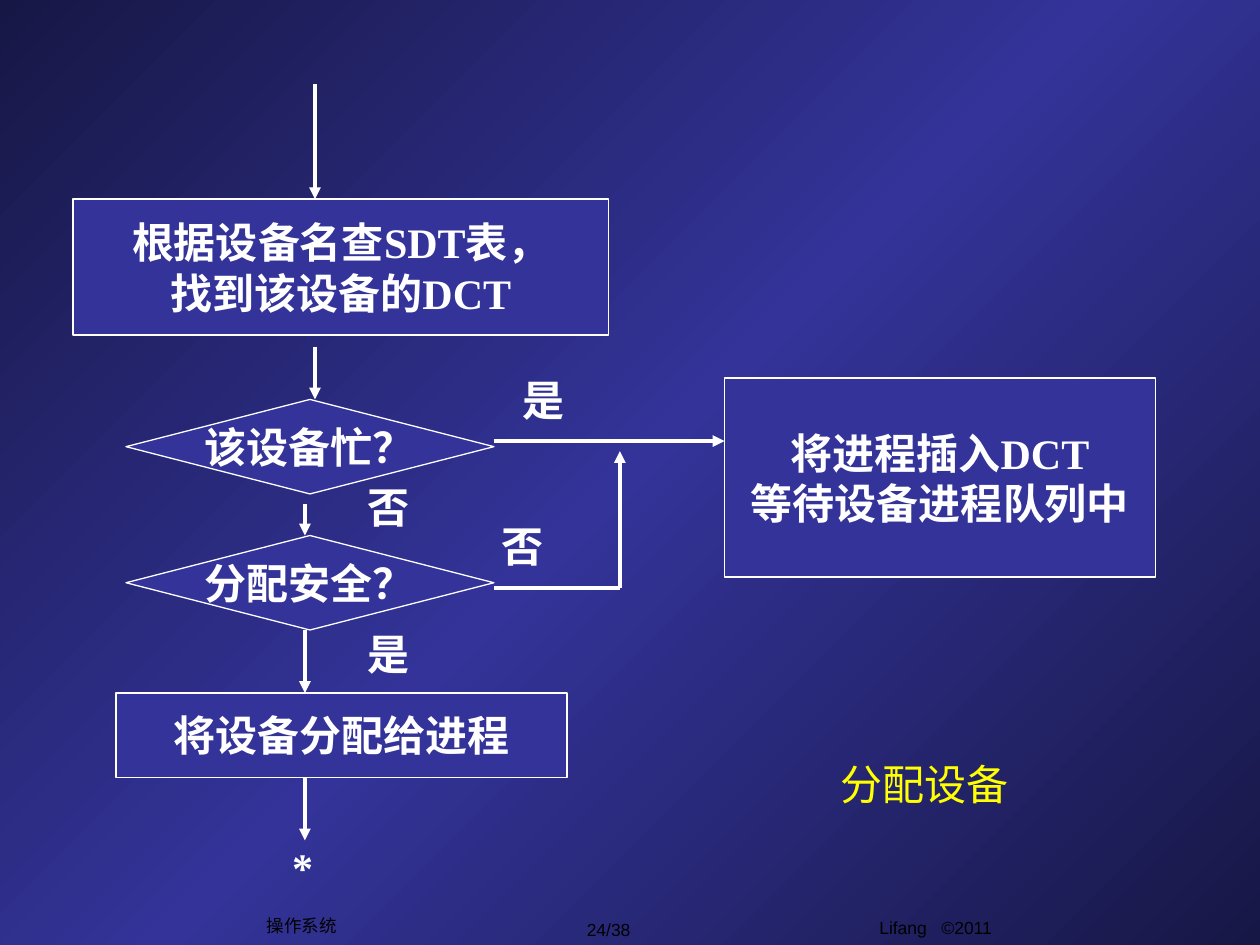
"""Build the device allocation flowchart slide."""
from copy import deepcopy

from lxml import etree
from pptx import Presentation
from pptx.dml.color import RGBColor
from pptx.enum.shapes import MSO_CONNECTOR, MSO_SHAPE
from pptx.enum.text import MSO_ANCHOR, PP_ALIGN
from pptx.oxml.ns import qn
from pptx.util import Inches, Pt

STRAIGHT = MSO_CONNECTOR.STRAIGHT
RECTANGLE = MSO_SHAPE.RECTANGLE
DECISION = MSO_SHAPE.FLOWCHART_DECISION
PROCESS = MSO_SHAPE.FLOWCHART_PROCESS
TOP, MIDDLE = MSO_ANCHOR.TOP, MSO_ANCHOR.MIDDLE
LEFT, CENTER = PP_ALIGN.LEFT, PP_ALIGN.CENTER

NAVY, BLUE, WHITE, YELLOW, BLACK = "171746", "333399", "FFFFFF", "FFFF00", "000000"
SERIF, SANS = "Times New Roman", "Arial"


def color(value):
    return RGBColor.from_string(value)


def write(frame, text, size=24, font=SERIF, fill=WHITE, bold=True,
          align=CENTER, anchor=MIDDLE, wrap=False, gap=0):
    frame.word_wrap = wrap
    frame.vertical_anchor = anchor
    frame.margin_left = frame.margin_right = Inches(0.1)
    frame.margin_top = frame.margin_bottom = Inches(0.05)
    for index, line in enumerate(text.split("\n")):
        para = frame.add_paragraph() if index else frame.paragraphs[0]
        para.alignment = align
        for part in line.partition(" ") if gap else [line]:
            span = para.add_run()
            span.text = part
            span.font.size = Pt(size)
            span.font.name = font
            span.font.bold = bold
            span.font.color.rgb = color(fill)
            if part == " ":
                span.font._element.set("spc", str(round(gap * 100)))


class Flowchart:
    def __init__(self, deck):
        self.page = deck.slides.add_slide(deck.slide_layouts[5])
        self.line_color = WHITE
        self.fill_color = BLUE

    def background(self, edge, middle):
        fill = self.page.background.fill
        fill.gradient()
        fill.gradient_angle = 135
        stops = self.page.element.xpath(".//a:gsLst")[0]
        stops.insert(1, deepcopy(stops[0]))
        for stop, position, value in zip(
                fill.gradient_stops, (0, 0.5, 1), (edge, middle, edge)):
            stop.position = position
            stop.color.rgb = color(value)

    def title(self, text, *place):
        box = self.page.shapes.title
        box.left, box.top, box.width, box.height = map(Inches, place)
        write(box.text_frame, text, fill=YELLOW, bold=False, wrap=True)

    def node(self, kind, text, *place):
        box = self.page.shapes.add_shape(kind, *map(Inches, place))
        box.shadow.inherit = False
        box.fill.solid()
        box.fill.fore_color.rgb = color(self.fill_color)
        box.line.color.rgb = color(self.line_color)
        box.line.width = Pt(0.75)
        write(box.text_frame, text)

    def line(self, *ends, arrow=True):
        link = self.page.shapes.add_connector(STRAIGHT, *map(Inches, ends))
        link.line.color.rgb = color(self.line_color)
        link.line.width = Pt(2.25)
        if arrow:
            etree.SubElement(link.line._get_or_add_ln(), qn("a:tailEnd"), type="triangle")
        etree.SubElement(link._element.spPr, qn("a:effectLst"))

    def label(self, text, *place, **style):
        box = self.page.shapes.add_textbox(*map(Inches, place))
        write(box.text_frame, text, **style)


def main():
    deck = Presentation()
    deck.slide_width, deck.slide_height = Inches(10), Inches(7.5)
    chart = Flowchart(deck)
    chart.background(NAVY, BLUE)

    footer = dict(size=10, font=SANS, fill=BLACK, bold=False)
    chart.label("Lifang ©2011", 5.84, 7.23, 3.17, 0.35,
                anchor=TOP, wrap=True, gap=5.6, **footer)
    chart.label("24/38", 4.32, 7.24, 1.02, 0.27, **footer)
    chart.label("操作系统", 2.02, 7.21, 0.75, 0.27, **footer)

    for kind, text, *place in (
        (RECTANGLE, "根据设备名查SDT表，\n找到该设备的DCT", 0.58, 1.58, 4.25, 1.08),
        (DECISION, "该设备忙？", 1, 3.17, 2.92, 0.75),
        (DECISION, "分配安全？", 1, 4.25, 2.92, 0.75),
        (PROCESS, "将设备分配给进程", 0.92, 5.5, 3.58, 0.67),
        (RECTANGLE, "将进程插入DCT\n等待设备进程队列中", 5.75, 3, 3.42, 1.58),
    ):
        chart.node(kind, text, *place)

    for x, top, bottom in (
        (2.5, 0.67, 1.58), (2.5, 2.75, 3.17), (2.42, 4, 4.25),
        (2.42, 5, 5.5), (2.42, 6.17, 6.67), (4.92, 4.67, 3.58),
    ):
        chart.line(x, top, x, bottom)
    chart.line(3.92, 3.5, 5.75, 3.5)
    chart.line(3.92, 4.67, 4.92, 4.67, arrow=False)

    for text, left, top, width in (
        ("否", 2.82, 3.77, 0.53), ("是", 2.82, 4.94, 0.53),
        ("是", 4.05, 2.92, 0.53), ("否", 3.88, 4.08, 0.53),
        ("*", 2.22, 6.63, 0.36),
    ):
        chart.label(text, left, top, width, 0.5, align=LEFT, anchor=TOP)

    chart.title("分配设备", 4.67, 5.75, 5.33, 0.94)
    deck.save("out.pptx")


if __name__ == "__main__":
    main()
